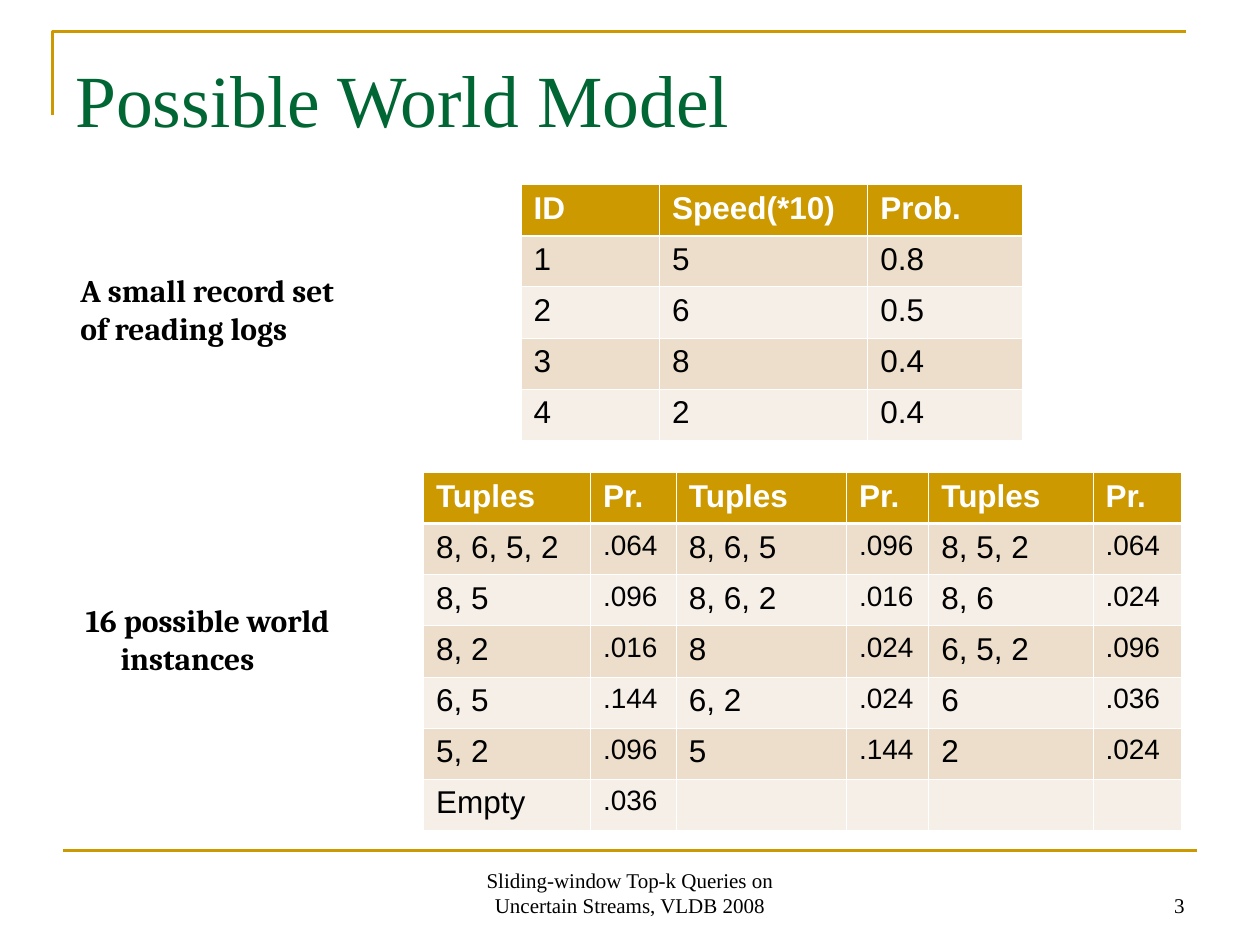
from dataclasses import dataclass

from lxml.etree import SubElement
from pptx import Presentation
from pptx.dml.color import RGBColor
from pptx.enum.shapes import MSO_CONNECTOR
from pptx.enum.text import MSO_ANCHOR as Anchor, PP_ALIGN as Align
from pptx.oxml.ns import qn
from pptx.util import Pt


@dataclass(frozen=True)
class Theme:
    gold: str = "CC9900"
    green: str = "006633"
    black: str = "000000"
    white: str = "FFFFFF"
    bands: tuple[str, str] = ("ECDECB", "F6EFE7")
    serif: str = "Times New Roman"
    label_font: str = "Cambria"
    table_font: str = "Arial"
    title_size: float = 42
    body_size: float = 18
    small_size: float = 16
    footer_size: float = 12
    rule_width: float = 1.5
    grid_width: float = 0.45
    header_line_width: float = 1.47


THEME = Theme()


@dataclass(frozen=True)
class Label:
    text: str
    left: float
    top: float
    width: float
    height: float
    font: str
    size: float
    color: str = THEME.black
    bold: bool = False
    align: Align = Align.LEFT
    anchor: Anchor = Anchor.TOP
    wrap: bool = True
    margin_top: float = 3.6
    last_indent: float = 0


@dataclass(frozen=True)
class Grid:
    left: float
    top: float
    column_widths: tuple[float, ...]
    row_height: float
    rows: tuple[tuple[str, ...], ...]
    small_columns: tuple[int, ...] = ()


LABELS = (
    Label("Sliding-window Top-k Queries on Uncertain Streams, VLDB 2008",
          246, 492, 228, 36, THEME.serif, THEME.footer_size,
          align=Align.CENTER, anchor=Anchor.BOTTOM),
    Label("3", 516, 492, 168, 36, THEME.serif, THEME.footer_size,
          align=Align.RIGHT, anchor=Anchor.BOTTOM),
    Label("Possible World Model", 36, 21.6, 648, 90, THEME.serif,
          THEME.title_size, THEME.green, margin_top=9.5),
    Label("A small record set\nof reading logs", 38.9, 151.2, 162, 50.4,
          THEME.label_font, THEME.body_size, bold=True, wrap=False),
    Label("16 possible world\ninstances", 41.8, 339.8, 163.4, 50.4,
          THEME.label_font, THEME.body_size, bold=True, wrap=False,
          last_indent=20),
)

WORLDS = Grid(242, 270, (95.5, 49, 97.3, 47, 93.8, 50.5), 29.2, (
    ("Tuples", "Pr.") * 3,
    ("8, 6, 5, 2", ".064", "8, 6, 5", ".096", "8, 5, 2", ".064"),
    ("8, 5", ".096", "8, 6, 2", ".016", "8, 6", ".024"),
    ("8, 2", ".016", "8", ".024", "6, 5, 2", ".096"),
    ("6, 5", ".144", "6, 2", ".024", "6", ".036"),
    ("5, 2", ".096", "5", ".144", "2", ".024"),
    ("Empty", ".036", "", "", "", ""),
), small_columns=(1, 3, 5))

RECORDS = Grid(297.7, 105.5, (79.2, 119, 88.6), 29.2, (
    ("ID", "Speed(*10)", "Prob."),
    ("1", "5", "0.8"),
    ("2", "6", "0.5"),
    ("3", "8", "0.4"),
    ("4", "2", "0.4"),
))


def rgb(color: str) -> RGBColor:
    return RGBColor.from_string(color)


def style_runs(paragraph, font: str, size: float, color: str, bold: bool) -> None:
    for run in paragraph.runs:
        run.font.name = font
        run.font.size = Pt(size)
        run.font.bold = bold
        run.font.color.rgb = rgb(color)


def style_rule(shape) -> None:
    shape.line.color.rgb = rgb(THEME.gold)
    shape.line.width = Pt(THEME.rule_width)


def draw_rules(slide) -> None:
    # Corner bracket around the title
    builder = slide.shapes.build_freeform(Pt(30), Pt(66))
    builder.add_line_segments([(Pt(30), Pt(18)), (Pt(678), Pt(18))], close=False)
    bracket = builder.convert_to_shape()
    bracket.shadow.inherit = False
    bracket.fill.background()
    style_rule(bracket)
    # Line above the footer
    footer_rule = slide.shapes.add_connector(
        MSO_CONNECTOR.STRAIGHT, Pt(36), Pt(486), Pt(684), Pt(486))
    style_rule(footer_rule)
    SubElement(footer_rule.element.spPr, qn("a:effectLst"))


def draw_label(slide, label: Label) -> None:
    shape = slide.shapes.add_textbox(
        Pt(label.left), Pt(label.top), Pt(label.width), Pt(label.height))
    text_frame = shape.text_frame
    text_frame.word_wrap = label.wrap
    text_frame.vertical_anchor = label.anchor
    text_frame.margin_top = Pt(label.margin_top)
    text_frame.text = label.text
    for paragraph in text_frame.paragraphs:
        paragraph.alignment = label.align
        style_runs(paragraph, label.font, label.size, label.color, label.bold)
    if label.last_indent:
        properties = text_frame.paragraphs[-1]._p.get_or_add_pPr()
        properties.set("marL", str(Pt(label.last_indent)))


def draw_borders(cell, row: int) -> None:
    widths = {side: THEME.grid_width for side in ("lnL", "lnR", "lnT", "lnB")}
    if row == 0:
        widths["lnB"] = THEME.header_line_width
    elif row == 1:
        widths["lnT"] = THEME.header_line_width
    properties = cell._tc.get_or_add_tcPr()
    for side, width in widths.items():
        line = SubElement(properties, qn(f"a:{side}"), w=str(Pt(width)))
        fill = SubElement(line, qn("a:solidFill"))
        SubElement(fill, qn("a:srgbClr"), val=THEME.white)


def draw_grid(slide, grid: Grid) -> None:
    row_count = len(grid.rows)
    table = slide.shapes.add_table(
        row_count, len(grid.column_widths), Pt(grid.left), Pt(grid.top),
        Pt(sum(grid.column_widths)), Pt(grid.row_height * row_count)).table
    for column, width in zip(table.columns, grid.column_widths):
        column.width = Pt(width)
    for row, values in enumerate(grid.rows):
        table.rows[row].height = Pt(grid.row_height)
        header = row == 0
        for column, value in enumerate(values):
            cell = table.cell(row, column)
            draw_borders(cell, row)
            cell.fill.solid()
            cell.fill.fore_color.rgb = rgb(
                THEME.gold if header else THEME.bands[(row - 1) % 2])
            cell.text_frame.text = value
            small = not header and column in grid.small_columns
            style_runs(cell.text_frame.paragraphs[0], THEME.table_font,
                       THEME.small_size if small else THEME.body_size,
                       THEME.white if header else THEME.black, header)


def main() -> None:
    presentation = Presentation()
    presentation.slide_width, presentation.slide_height = Pt(720), Pt(540)
    slide = presentation.slides.add_slide(presentation.slide_layouts[6])
    draw_rules(slide)
    for label in LABELS:
        draw_label(slide, label)
    for grid in (WORLDS, RECORDS):
        draw_grid(slide, grid)
    presentation.save("out.pptx")


if __name__ == "__main__":
    main()
